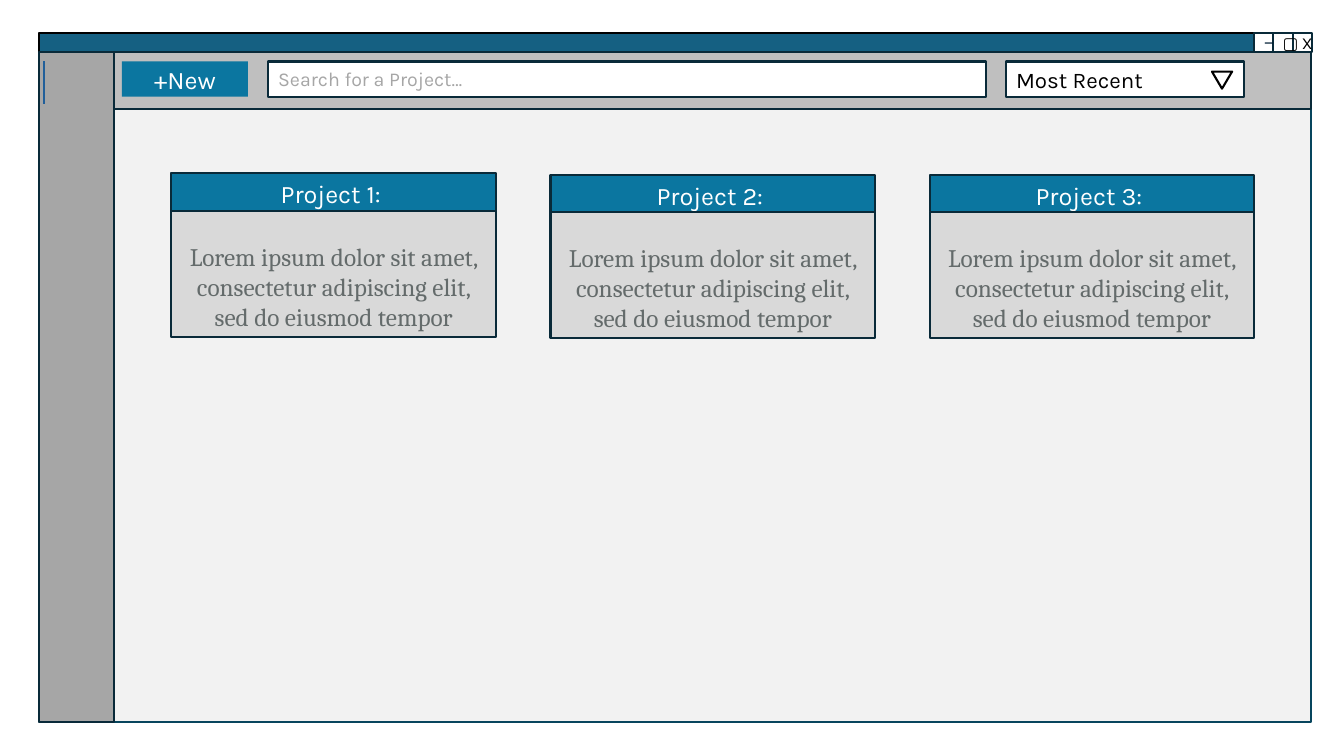
from lxml.etree import SubElement
from pptx import Presentation
from pptx.dml.color import RGBColor
from pptx.enum.shapes import MSO_CONNECTOR, MSO_SHAPE
from pptx.enum.text import MSO_ANCHOR, PP_ALIGN
from pptx.oxml.ns import qn
from pptx.util import Pt

PX = 9144

WHITE = RGBColor(0xFF, 0xFF, 0xFF)
BLACK = RGBColor(0x00, 0x00, 0x00)
NAVY = RGBColor(0x09, 0x2A, 0x39)
DASH_NAVY = RGBColor(0x00, 0x1D, 0x35)
WINDOW_LINE = RGBColor(0x07, 0x45, 0x5D)
TITLE_BLUE = RGBColor(0x15, 0x60, 0x82)
CURSOR_BLUE = RGBColor(0x21, 0x5F, 0x9A)
TEAL = RGBColor(0x0B, 0x76, 0xA0)
PAGE_GRAY = RGBColor(0xF2, 0xF2, 0xF2)
CARD_GRAY = RGBColor(0xD9, 0xD9, 0xD9)
TOOLBAR_GRAY = RGBColor(0xBF, 0xBF, 0xBF)
SIDEBAR_GRAY = RGBColor(0xA6, 0xA6, 0xA6)
BODY_GRAY = RGBColor(0x64, 0x6B, 0x6B)

WINDOW_BUTTONS = [
    ("X", "Karla", BLACK),
    ("▢", "Karla", BLACK),
    ("–", "Roboto", DASH_NAVY),
]
NEW_LABEL = "+New"
SEARCH_HINT = "Search for a Project…"
SORT_LABEL = "Most Recent"
SUMMARY = "Lorem ipsum dolor sit amet, consectetur adipiscing elit, sed do eiusmod tempor"
PROJECTS = [
    ("Project 1: ", 172, 209),
    ("Project 2: ", 174, 210),
    ("Project 3: ", 174, 210),
]

LEFT, TOP, WIDTH, BAR = 39, 33, 1261, 19
BODY_TOP, BODY_HEIGHT = TOP + BAR, 664
SIDEBAR_WIDTH = 74
CONTROL_TOP, CONTROL_HEIGHT = 61, 35
CARD_LEFT, CARD_STEP, CARD_WIDTH = 170, 376, 322

deck = Presentation()
deck.slide_width, deck.slide_height = 1333 * PX, 750 * PX
page = deck.slides.add_slide(deck.slide_layouts[6])


def add_box(left, top, width, height, fill, line=NAVY, kind=MSO_SHAPE.RECTANGLE):
    box = page.shapes.add_shape(kind, left * PX, top * PX, width * PX, height * PX)
    box.shadow.inherit = False
    box.fill.solid()
    box.fill.fore_color.rgb = fill
    if line is None:
        box.line.fill.background()
    else:
        box.line.color.rgb = line
        box.line.width = Pt(1.5)
    return box


def write(box, text, size, color, font="Karla", align=PP_ALIGN.CENTER, anchor=MSO_ANCHOR.MIDDLE):
    box.text_frame.word_wrap = True
    box.text_frame.vertical_anchor = anchor
    para = box.text_frame.paragraphs[0]
    para.text = text
    para.alignment = align
    para.font.size = Pt(size)
    para.font.name = font
    para.font.color.rgb = color


add_box(LEFT, BODY_TOP, WIDTH, BODY_HEIGHT, PAGE_GRAY, WINDOW_LINE)
add_box(LEFT, TOP, WIDTH, BAR, TITLE_BLUE, BLACK)
for index, (symbol, font, color) in enumerate(WINDOW_BUTTONS):
    button = add_box(1282 - index * BAR, TOP, BAR, BAR, WHITE)
    write(button, symbol, 12, color, font)

add_box(LEFT, BODY_TOP, SIDEBAR_WIDTH, BODY_HEIGHT, SIDEBAR_GRAY)
add_box(LEFT + SIDEBAR_WIDTH, BODY_TOP, WIDTH - SIDEBAR_WIDTH, 56, TOOLBAR_GRAY)

cursor = page.shapes.add_connector(
    MSO_CONNECTOR.STRAIGHT, 44 * PX, CONTROL_TOP * PX, 44 * PX, 103 * PX
)
cursor.line.color.rgb = CURSOR_BLUE
cursor.line.width = Pt(1.5)
SubElement(cursor._element.spPr, qn("a:effectLst"))

new_button = add_box(121, CONTROL_TOP, 125, CONTROL_HEIGHT, TEAL, None)
write(new_button, NEW_LABEL, 18, WHITE)
search_field = add_box(266, CONTROL_TOP, 712, CONTROL_HEIGHT, WHITE)
write(search_field, SEARCH_HINT, 14, SIDEBAR_GRAY, align=PP_ALIGN.LEFT)
sort_menu = add_box(998, CONTROL_TOP, 236, CONTROL_HEIGHT, WHITE)
write(sort_menu, SORT_LABEL, 16, BLACK, align=PP_ALIGN.LEFT)
sort_arrow = add_box(1202, 71, 20, 17, WHITE, BLACK, MSO_SHAPE.ISOSCELES_TRIANGLE)
sort_arrow.rotation = 180

for index, (name, header_top, summary_top) in enumerate(PROJECTS):
    left = CARD_LEFT + index * CARD_STEP
    header = add_box(left, header_top, CARD_WIDTH, 157, TEAL)
    write(header, name, 18, WHITE, anchor=MSO_ANCHOR.TOP)
    summary = add_box(left, summary_top, CARD_WIDTH, 125, CARD_GRAY)
    write(summary, SUMMARY, 18, BODY_GRAY, "Cambria", anchor=MSO_ANCHOR.BOTTOM)

deck.save("out.pptx")
